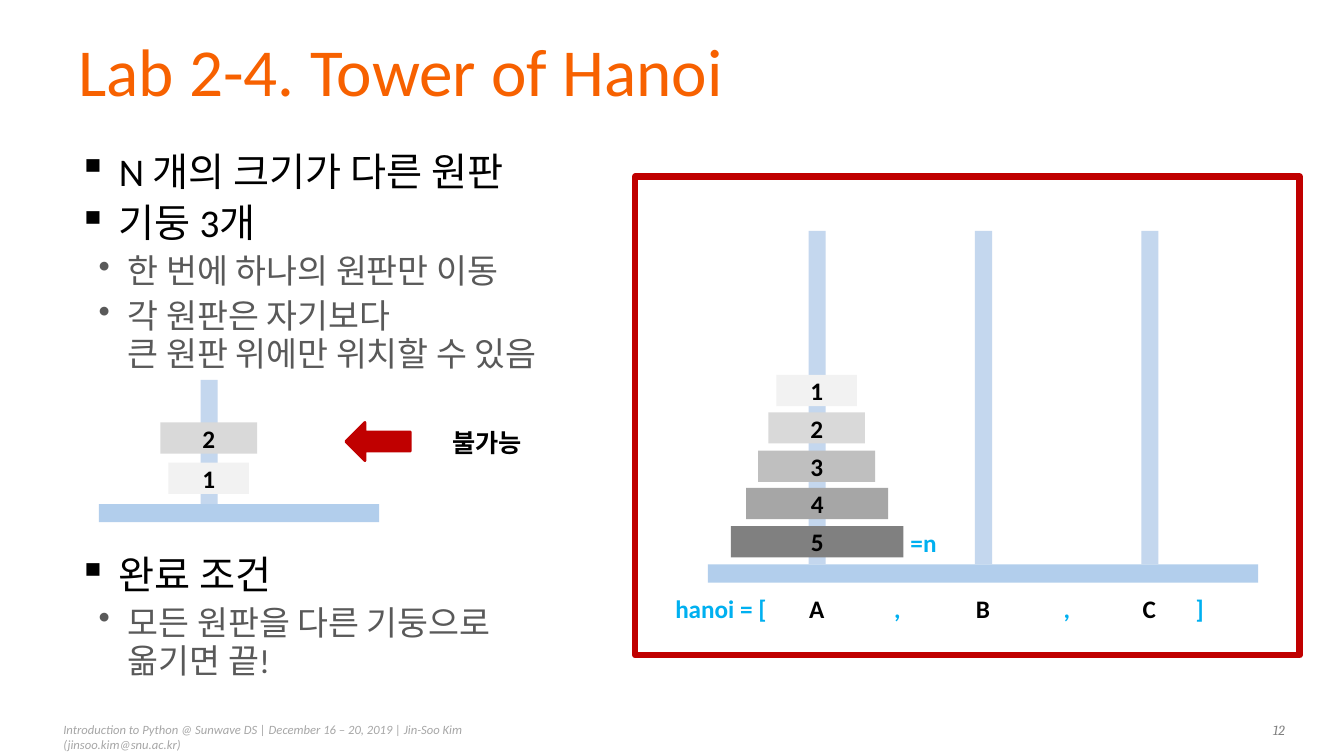
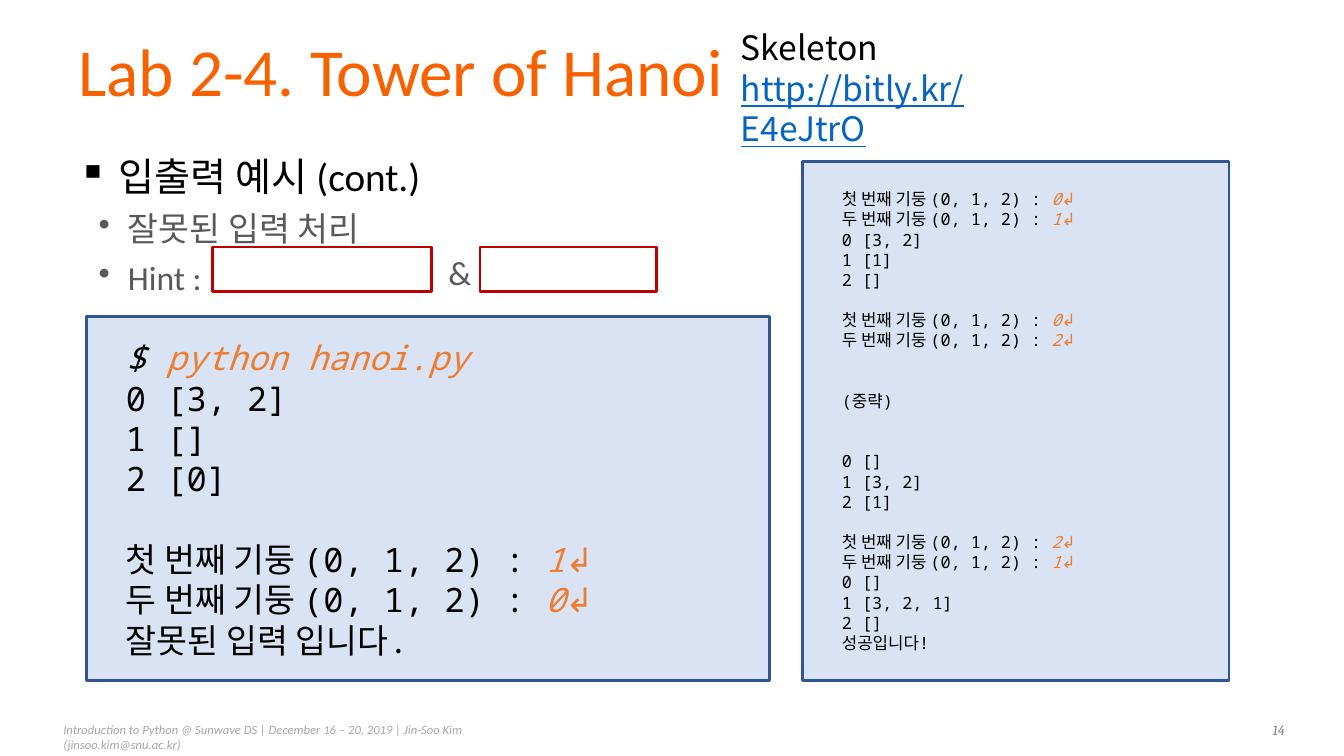
from dataclasses import dataclass

from lxml.etree import SubElement
from pptx import Presentation
from pptx.dml.color import RGBColor
from pptx.enum.shapes import MSO_SHAPE as Preset
from pptx.enum.text import MSO_ANCHOR as Anchor, PP_ALIGN as Align
from pptx.oxml.ns import qn
from pptx.util import Emu, Pt

PX = 9144  # EMU in one px, 100 px to the inch


@dataclass(frozen=True)
class Theme:
    sans: str = "Calibri"
    serif: str = "Cambria"
    mono: str = "Noto Sans Mono"
    korean: str = "Noto Sans CJK KR"
    title: str = "F76100"
    ink: str = "000000"
    detail: str = "595959"
    footer: str = "A6A6A6"
    page: str = "808080"
    red: str = "C00000"
    sky: str = "00B0F0"
    link: str = "0563C1"
    typed: str = "ED7D31"
    console: str = "DAE3F3"
    console_edge: str = "2F5597"
    base: str = "B2CEEC"
    peg: str = "C4D7EE"
    white: str = "FFFFFF"
    title_size: int = 48
    topic_size: int = 28
    detail_size: int = 24
    label_size: int = 18
    page_size: int = 10
    footer_size: int = 9


THEME = Theme()
DISCS = {1: (80, "F2F2F2"), 2: (96, "D9D9D9"), 3: (116, "BFBFBF"),
         4: (141, "A6A6A6"), 5: (171, "808080")}
DISC_HEIGHT = 31
PEG_WIDTH = 17
BASE_HEIGHT = 18
COURSE = ("Introduction to Python @ Sunwave DS | December 16 – 20, 2019 | "
          "Jin-Soo Kim (jinsoo.kim@snu.ac.kr)")


def px(*lengths):
    return [Emu(length * PX) for length in lengths]


def rgb(color):
    return RGBColor.from_string(color)


def set_bullet(paragraph, mark, margin, hanging):
    properties = paragraph._p.get_or_add_pPr()
    properties.set("marL", str(margin * PX))
    properties.set("indent", str(-hanging * PX))
    SubElement(properties, qn("a:buChar")).set("char", mark)


def write(frame, text, *, size, font=THEME.sans, color=THEME.ink, bold=False,
          italic=False, underline=False, align=None, pitch=None, before=0,
          bullet=None, same_line=False):
    """Add a paragraph, or with same_line a run at the end of the last one."""
    paragraph = frame.paragraphs[-1]
    first = not paragraph.runs
    if not same_line:
        if not first:
            paragraph = frame.add_paragraph()
            paragraph.space_before = Pt(before)
        if align is not None:
            paragraph.alignment = align
        if pitch is not None:
            paragraph.line_spacing = pitch
        if bullet:
            set_bullet(paragraph, *bullet)
    for index, part in enumerate(text.split("\n")):
        if index:
            paragraph.add_line_break()
        run = paragraph.add_run()
        run.text = part
        style = run.font
        style.name, style.size = font, Pt(size)
        style.bold, style.italic, style.underline = bold, italic, underline
        style.color.rgb = rgb(color)


class Deck:
    def __init__(self, theme):
        self.theme = theme
        self.file = Presentation()
        self.file.slide_width, self.file.slide_height = px(1333, 750)
        self.slide = None

    def start(self, title, page):
        t = self.theme
        self.slide = self.file.slides.add_slide(self.file.slide_layouts[6])
        write(self.box(53, 711, 520, 25), COURSE, size=t.footer_size,
              color=t.footer, italic=True)
        write(self.box(1209, 711, 75, 27), page, size=t.page_size, font=t.serif,
              color=t.page, italic=True, align=Align.RIGHT)
        write(self.box(68, 33, 1198, 83, anchor=Anchor.MIDDLE), title,
              size=t.title_size, color=t.title, pitch=0.9)

    def box(self, left, top, width, height, wrap=True, anchor=Anchor.TOP):
        frame = self.slide.shapes.add_textbox(*px(left, top, width, height)).text_frame
        frame.word_wrap = wrap
        frame.vertical_anchor = anchor
        return frame

    def shape(self, left, top, width, height, fill=None, line=None, weight=2,
              preset=Preset.RECTANGLE):
        shape = self.slide.shapes.add_shape(preset, *px(left, top, width, height))
        shape.shadow.inherit = False
        if fill:
            shape.fill.solid()
            shape.fill.fore_color.rgb = rgb(fill)
        else:
            shape.fill.background()
        if line:
            shape.line.color.rgb = rgb(line)
            shape.line.width = Pt(weight)
        else:
            shape.line.fill.background()
        shape.text_frame.vertical_anchor = Anchor.MIDDLE
        return shape.text_frame

    def label(self, text, center, top, width=40, **style):
        style = {"size": self.theme.label_size, "bold": True, **style}
        frame = self.box(center - width // 2, top, width, 40, wrap=False)
        write(frame, text, align=Align.CENTER, **style)

    def topic(self, frame, text, pitch, before=7):
        write(frame, text, size=self.theme.topic_size, pitch=Pt(pitch),
              before=before, bullet=("▪", 40, 40))

    def detail(self, frame, text, pitch):
        write(frame, text, size=self.theme.detail_size, color=self.theme.detail,
              pitch=Pt(pitch), before=5, bullet=("•", 49, 29))

    def peg(self, center, top, bottom):
        self.shape(center - PEG_WIDTH // 2, top, PEG_WIDTH, bottom - top,
                   fill=self.theme.peg)

    def disc(self, number, center, top):
        width, gray = DISCS[number]
        frame = self.shape(center - width // 2, top, width, DISC_HEIGHT, fill=gray)
        write(frame, str(number), size=self.theme.label_size, bold=True,
              align=Align.CENTER)

    def console(self, left, top, width, height, size, lines):
        """Each line is (blank lines above, printed text, typed text)."""
        t = self.theme
        frame = self.shape(left, top, width, height, fill=t.console,
                           line=t.console_edge)
        frame.margin_left = px(39)[0]
        frame.word_wrap = True
        pitch = size * 1.2
        for blanks, printed, typed in lines:
            write(frame, printed, size=size, font=t.mono, italic=printed == "$ ",
                  align=Align.LEFT, pitch=Pt(pitch), before=blanks * pitch)
            if typed:
                write(frame, typed, size=size, font=t.mono, color=t.typed,
                      italic=True, same_line=True)


def output(*texts, blanks=0):
    return [(0 if index else blanks, text, "") for index, text in enumerate(texts)]


def move(source, target, blanks=0):
    return [(blanks, "첫 번째 기둥 (0, 1, 2) : ", f"{source}↲"),
            (0, "두 번째 기둥 (0, 1, 2) : ", f"{target}↲")]


def rules_slide(deck):
    t = deck.theme
    deck.start("Lab 2-4. Tower of Hanoi", "12")
    rules = deck.box(68, 146, 599, 554)
    deck.topic(rules, "N 개의 크기가 다른 원판", 30)
    deck.topic(rules, "기둥 3개", 30)
    deck.detail(rules, "한 번에 하나의 원판만 이동", 27)
    deck.detail(rules, "각 원판은 자기보다\n큰 원판 위에만 위치할 수 있음", 27)
    deck.topic(rules, "완료 조건", 30, before=130)
    deck.detail(rules, "모든 원판을 다른 기둥으로\n옮기면 끝!", 27)

    deck.shape(630, 175, 659, 475, line=t.red, weight=4.5)
    deck.shape(702, 560, 546, BASE_HEIGHT, fill=t.base)
    pegs = [810 + 165 * index for index in range(3)]
    for name, center in zip("ABC", pegs):
        deck.peg(center, 229, 560)
        deck.label(name, center, 584)
    for number in DISCS:
        deck.disc(number, pegs[0], 372 + 75 * (number - 1) // 2)
    for mark, center, top, width in (("hanoi = [", 715, 584, 112), ("]", 1190, 584, 28),
                                     (",", 890, 584, 28), (",", 1058, 584, 28),
                                     ("=n", 916, 518, 46)):
        deck.label(mark, center, top, width, color=t.sky)

    deck.shape(98, 500, 278, BASE_HEIGHT, fill=t.base)
    deck.peg(207, 377, 500)
    deck.disc(2, 207, 419)
    deck.disc(1, 207, 459)
    deck.shape(343, 419, 64, 38, fill=t.red, line=t.red, preset=Preset.LEFT_ARROW)
    deck.label("불가능", 483, 419, 96)


def example_slide(deck):
    t = deck.theme
    deck.start("Lab 2-4. Tower of Hanoi", "14")
    example = deck.box(68, 146, 1198, 554)
    deck.topic(example, "입출력 예시 (cont.)", 34)
    deck.detail(example, "잘못된 입력 처리", 30)
    deck.detail(example, "Hint :", 30)
    for left, width in ((211, 217), (476, 175)):
        deck.shape(left, 245, width, 44, fill=t.white, line=t.red)
    deck.label("&", 455, 245, size=t.detail_size, bold=False, color=t.detail)

    deck.console(86, 314, 677, 361, 24, [
        (0, "$ ", "python hanoi.py"),
        *output("0 [3, 2]", "1 []", "2 [0]"),
        *move(1, 0, blanks=1),
        *output("잘못된 입력 입니다."),
    ])
    deck.console(796, 160, 423, 515, 12, [
        *move(0, 1),
        *output("0 [3, 2]", "1 [1]", "2 []"),
        *move(0, 2, blanks=1),
        *output("(중략)", blanks=2),
        *output("0 []", "1 [3, 2]", "2 [1]", blanks=2),
        *move(2, 1, blanks=1),
        *output("0 []", "1 [3, 2, 1]", "2 []", "성공입니다!"),
    ])

    skeleton = deck.box(725, 22, 345, 91)
    shared = {"size": t.detail_size, "font": t.korean, "pitch": Pt(28.8)}
    write(skeleton, "Skeleton", **shared)
    write(skeleton, "http://bitly.kr/E4eJtrO", color=t.link, underline=True, **shared)


def main():
    deck = Deck(THEME)
    rules_slide(deck)
    example_slide(deck)
    deck.file.save("out.pptx")


if __name__ == "__main__":
    main()
